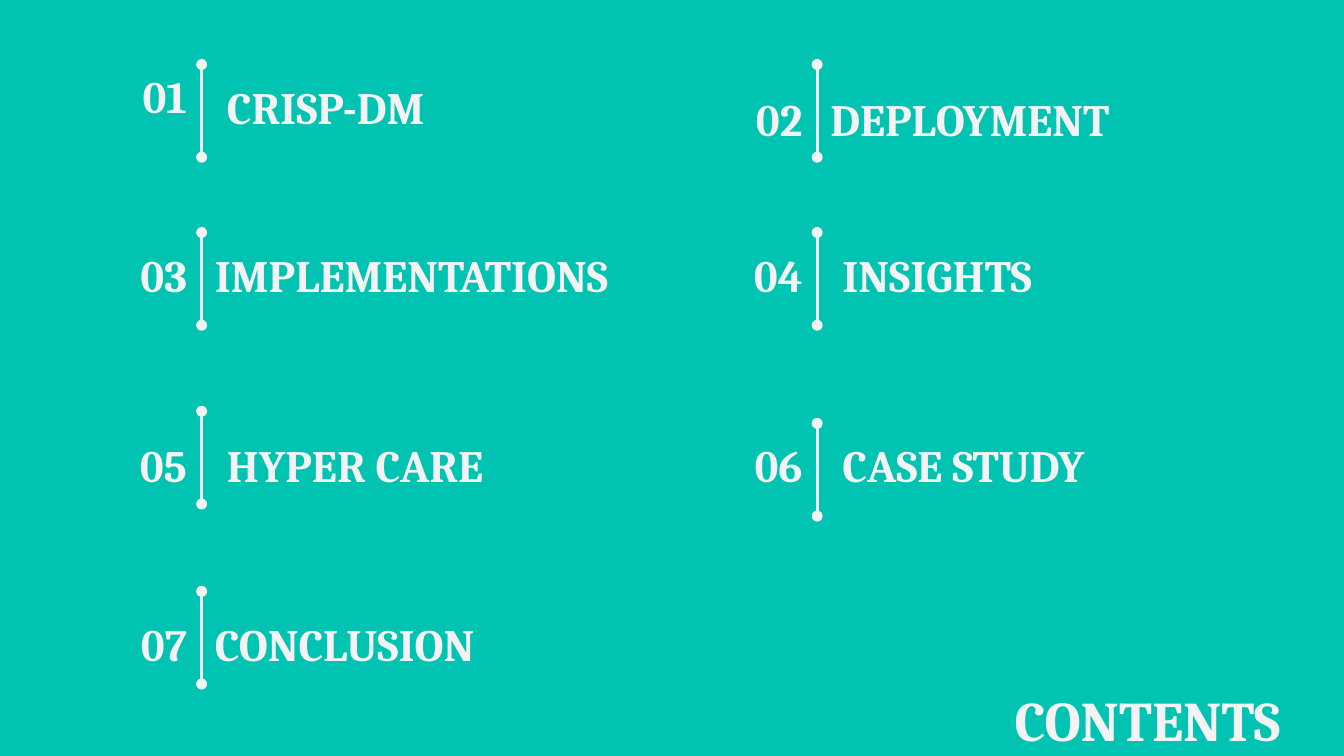
from lxml import etree
from pptx import Presentation
from pptx.dml.color import RGBColor
from pptx.enum.shapes import MSO_CONNECTOR
from pptx.enum.text import MSO_ANCHOR, PP_ALIGN
from pptx.oxml.ns import qn
from pptx.util import Inches, Pt

STRAIGHT = MSO_CONNECTOR.STRAIGHT
MIDDLE, TOP = MSO_ANCHOR.MIDDLE, MSO_ANCHOR.TOP
LEFT, RIGHT = PP_ALIGN.LEFT, PP_ALIGN.RIGHT

COLORS = {"background": "00C3B1", "ink": "F3F3F3"}
FONT = "Cambria"

# Entries: number, label, column, divider top, number top, label top, label indent, label width
ENTRIES = [
    ("01", "CRISP-DM", 0, 0.48, 0.48, 0.56, 0.09, 2.56),
    ("02", "DEPLOYMENT", 1, 0.48, 0.65, 0.65, 0, 2.56),
    ("03", "IMPLEMENTATIONS", 0, 1.73, 1.81, 1.81, 0, 3.42),
    ("04", "INSIGHTS", 1, 1.73, 1.81, 1.81, 0.09, 2.56),
    ("05", "HYPER CARE", 0, 3.06, 3.23, 3.23, 0.09, 2.56),
    ("06", "CASE STUDY", 1, 3.15, 3.23, 3.23, 0.09, 2.56),
    ("07", "CONCLUSION", 0, 4.4, 4.56, 4.56, 0, 2.31),
]
COLUMN_X = (1.5, 6.08)
DIVIDER_HEIGHT = 0.69
NUMBER_WIDTH = 0.66
NUMBER_GAP = 0.01
ROW_HEIGHT = 0.46
PAGE_WIDTH = 10

deck = Presentation()
deck.slide_width = Inches(PAGE_WIDTH)
deck.slide_height = Inches(PAGE_WIDTH * 9 / 16)
page = deck.slides.add_slide(deck.slide_layouts[6])
page.background.fill.solid()
page.background.fill.fore_color.rgb = RGBColor.from_string(COLORS["background"])


def add_text(text, left, top, width, height=ROW_HEIGHT, size=24, align=LEFT, anchor=MIDDLE):
    box = page.shapes.add_textbox(Inches(left), Inches(top), Inches(width), Inches(height))
    frame = box.text_frame
    frame.word_wrap = True
    frame.vertical_anchor = anchor
    frame.margin_left = frame.margin_right = Inches(0.1)
    frame.margin_top = frame.margin_bottom = Inches(0.1)
    para = frame.paragraphs[0]
    para.alignment = align
    span = para.add_run()
    span.text = text
    span.font.name, span.font.size, span.font.bold = FONT, Pt(size), True
    span.font.color.rgb = RGBColor.from_string(COLORS["ink"])


def add_divider(x, top):
    divider = page.shapes.add_connector(
        STRAIGHT, Inches(x), Inches(top), Inches(x), Inches(top + DIVIDER_HEIGHT))
    divider.line.color.rgb = RGBColor.from_string(COLORS["ink"])
    divider.line.width = Pt(1.5)
    outline = divider.line._get_or_add_ln()
    for end in ("a:headEnd", "a:tailEnd"):
        etree.SubElement(outline, qn(end), type="oval", w="med", len="med")
    etree.SubElement(divider._element.spPr, qn("a:effectLst"))


# Numbered entries on either side of their dividers
for number, label, column, line_top, number_top, label_top, indent, width in ENTRIES:
    x = COLUMN_X[column]
    add_text(number, x - NUMBER_GAP - NUMBER_WIDTH, number_top, NUMBER_WIDTH, align=RIGHT)
    add_divider(x, line_top)
    add_text(label, x + indent, label_top, width)

# Page heading
add_text("CONTENTS", 7.45, 5, 2.55, height=0.63, size=30, anchor=TOP)

deck.save("out.pptx")
